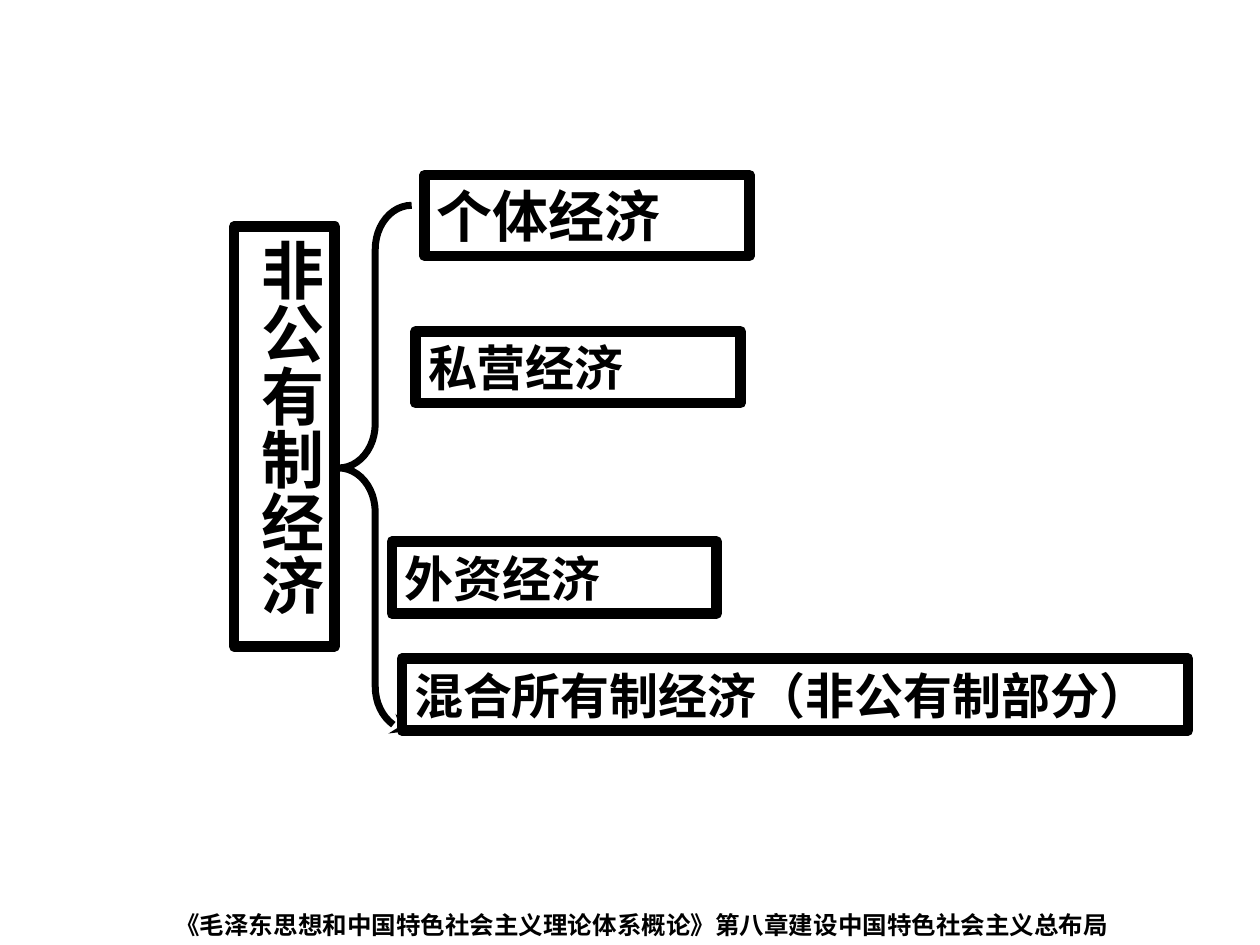
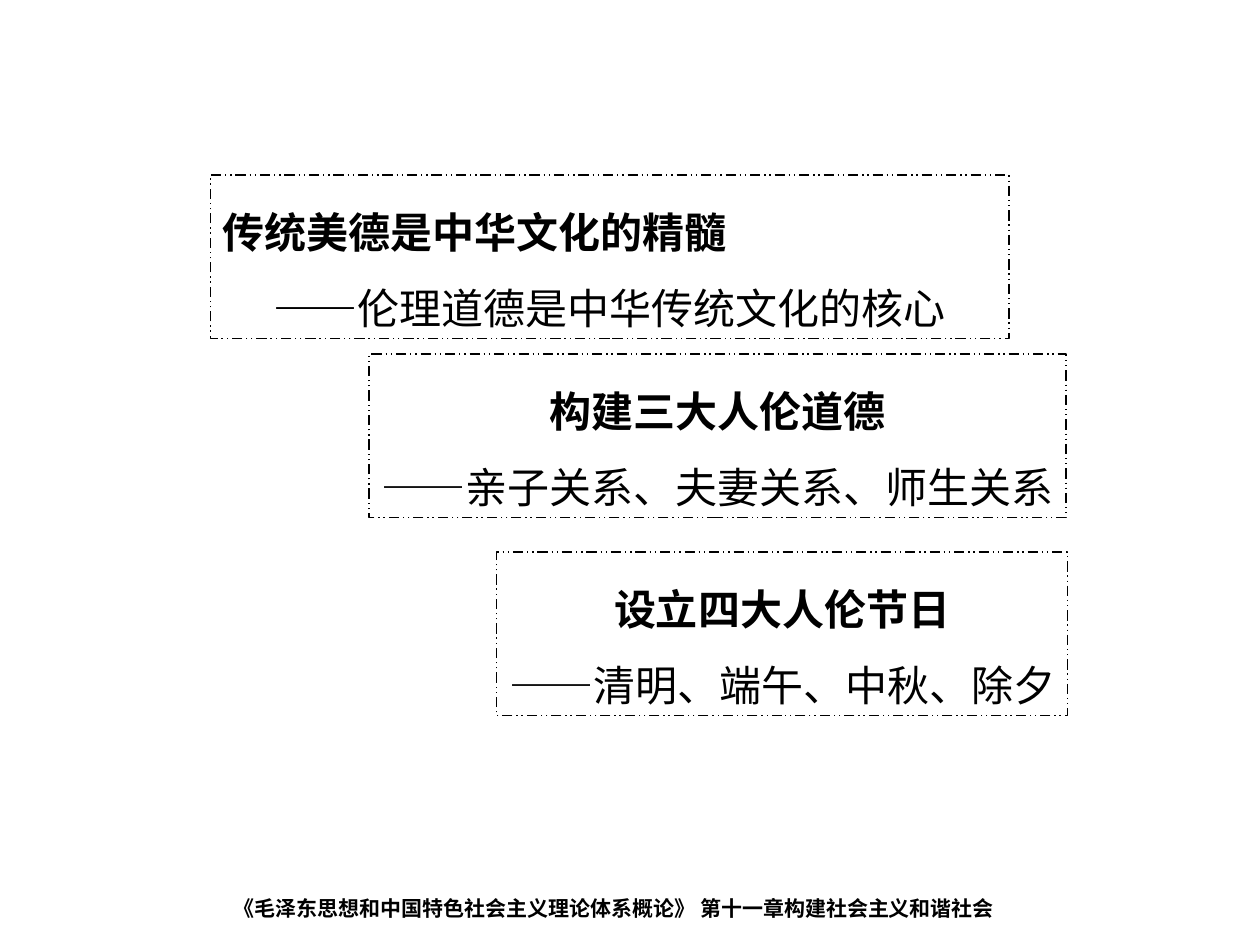
from dataclasses import dataclass
from math import cos, radians, sin

from lxml.etree import SubElement
from pptx import Presentation
from pptx.dml.color import RGBColor
from pptx.enum.dml import MSO_LINE
from pptx.enum.shapes import MSO_SHAPE
from pptx.enum.text import MSO_ANCHOR, PP_ALIGN
from pptx.oxml.ns import qn
from pptx.util import Cm, Pt


@dataclass(frozen=True)
class Theme:
    ink: RGBColor = RGBColor(0, 0, 0)
    paper: RGBColor = RGBColor(255, 255, 255)
    serif: str = "Times New Roman"
    sans: str = "Arial"
    hei: str = "Noto Sans CJK SC"
    root: int = 36
    lead: int = 32
    item: int = 28
    body: int = 24
    frame: float = 6
    brace: float = 4
    thin: float = 0.75


THEME = Theme()


def style(run, size, face, bold=True):
    font = run.font
    font.size, font.name, font.bold = Pt(size), face, bold
    font.color.rgb = THEME.ink
    SubElement(run._r.get_or_add_rPr(), qn("a:ea"), typeface=THEME.hei)


def inset(frame, side=0.25, edge=0.13):
    frame.margin_left = frame.margin_right = Cm(side)
    frame.margin_top = frame.margin_bottom = Cm(edge)
    frame.vertical_anchor = MSO_ANCHOR.TOP


def outline(shape, width):
    shape.shadow.inherit = False
    shape.line.color.rgb = THEME.ink
    shape.line.width = Pt(width)


def rect(shapes, area, width):
    shape = shapes.add_shape(MSO_SHAPE.RECTANGLE, *map(Cm, area))
    outline(shape, width)
    return shape


# Heavy frame with one bold term
def label(shapes, area, text, size, tall=False):
    shape = rect(shapes, area, THEME.frame)
    shape.fill.solid()
    shape.fill.fore_color.rgb = THEME.paper
    frame = shape.text_frame
    frame.word_wrap = True
    if tall:
        inset(frame, 0.13, 0.25)
        frame._txBody.bodyPr.set("vert", "eaVert")
    else:
        inset(frame)
    line = frame.paragraphs[0]
    line.text = text
    line.alignment = PP_ALIGN.LEFT
    style(line.runs[0], size, THEME.serif)


# Brace made of four quarter arcs, ending in an arrow
def brace(shapes, left, top, width, height, bend):
    half, mid, right = width / 2, top + height / 2, left + width
    arcs = [
        (right, top + bend, 270, 180),
        (left, mid - bend, 0, 90),
        (left, mid + bend, 270, 360),
        (right, top + height - bend, 180, 90),
    ]
    steps = 12
    dots = []
    for x, y, start, end in arcs:
        for step in range(steps + 1):
            turn = radians(start + (end - start) * step / steps)
            dots.append((Cm(x + half * cos(turn)), Cm(y + bend * sin(turn))))
    pen = shapes.build_freeform(*dots[0])
    pen.add_line_segments(dots[1:], close=False)
    shape = pen.convert_to_shape()
    shape.fill.background()
    outline(shape, THEME.brace)
    SubElement(shape.line._get_or_add_ln(), qn("a:tailEnd"), type="stealth")


# Dashed frame with a heading and a line below it
def card(shapes, area, head, runs, align=PP_ALIGN.CENTER, wrap=False):
    shape = rect(shapes, area, THEME.thin)
    shape.fill.background()
    shape.line.dash_style = MSO_LINE.DASH_DOT_DOT
    frame = shape.text_frame
    frame.word_wrap = wrap
    inset(frame)
    lines = [(frame.paragraphs[0], align, [(head, True)]),
             (frame.add_paragraph(), PP_ALIGN.CENTER, runs)]
    for line, side, parts in lines:
        line.alignment = side
        line.line_spacing = 1.5
        for text, bold in parts:
            run = line.add_run()
            run.text = text
            style(run, THEME.body, THEME.hei, bold)


def footer(shapes, area, text, size, wrap):
    frame = shapes.add_textbox(*map(Cm, area)).text_frame
    frame.word_wrap = wrap
    inset(frame)
    line = frame.paragraphs[0]
    line.text = text
    line.alignment = PP_ALIGN.CENTER
    style(line.runs[0], size, THEME.sans)


def sectors(shapes):
    wide, high = 6.55, 1.45
    label(shapes, (7.9, 10.92, wide, high), "外资经济", THEME.item)
    tree = shapes.add_group_shape().shapes
    label(tree, (4.72, 4.57, 2.03, 8.46), "非公有制经济", THEME.root, tall=True)
    brace(tree, 6.83, 4.14, 1.47, 10.59, 0.89)
    label(tree, (8.56, 3.53, wide, 1.63), "个体经济", THEME.lead)
    label(tree, (8.38, 6.68, wide, high), "私营经济", THEME.item)
    label(tree, (8.1, 13.28, 15.85, high),
          "混合所有制经济（非公有制部分）", THEME.item)
    footer(shapes, (3.28, 18.21, 19.33, 0.86),
           "《毛泽东思想和中国特色社会主义理论体系概论》第八章建设中国特色社会主义总布局",
           14, False)


def virtues(shapes):
    footer(shapes, (4.09, 17.93, 16.59, 1.12),
           "《毛泽东思想和中国特色社会主义理论体系概论》 第十一章构建社会主义和谐社会",
           12, True)
    high = 3.3
    card(shapes, (4.24, 3.53, 16.1, high), "传统美德是中华文化的精髓",
         [("——", True), ("伦理道德是中华传统文化的核心", False)],
         PP_ALIGN.LEFT, True)
    card(shapes, (7.44, 7.14, 14.05, high), "构建三大人伦道德",
         [("——亲子关系、夫妻关系、师生关系", False)])
    card(shapes, (10.01, 11.13, 11.51, high), "设立四大人伦节日",
         [("——清明、端午、中秋、除夕", False)])


def main():
    deck = Presentation()
    deck.slide_width, deck.slide_height = Cm(25.4), Cm(19.05)
    for draw in (sectors, virtues):
        draw(deck.slides.add_slide(deck.slide_layouts[6]).shapes)
    deck.save("out.pptx")


if __name__ == "__main__":
    main()
